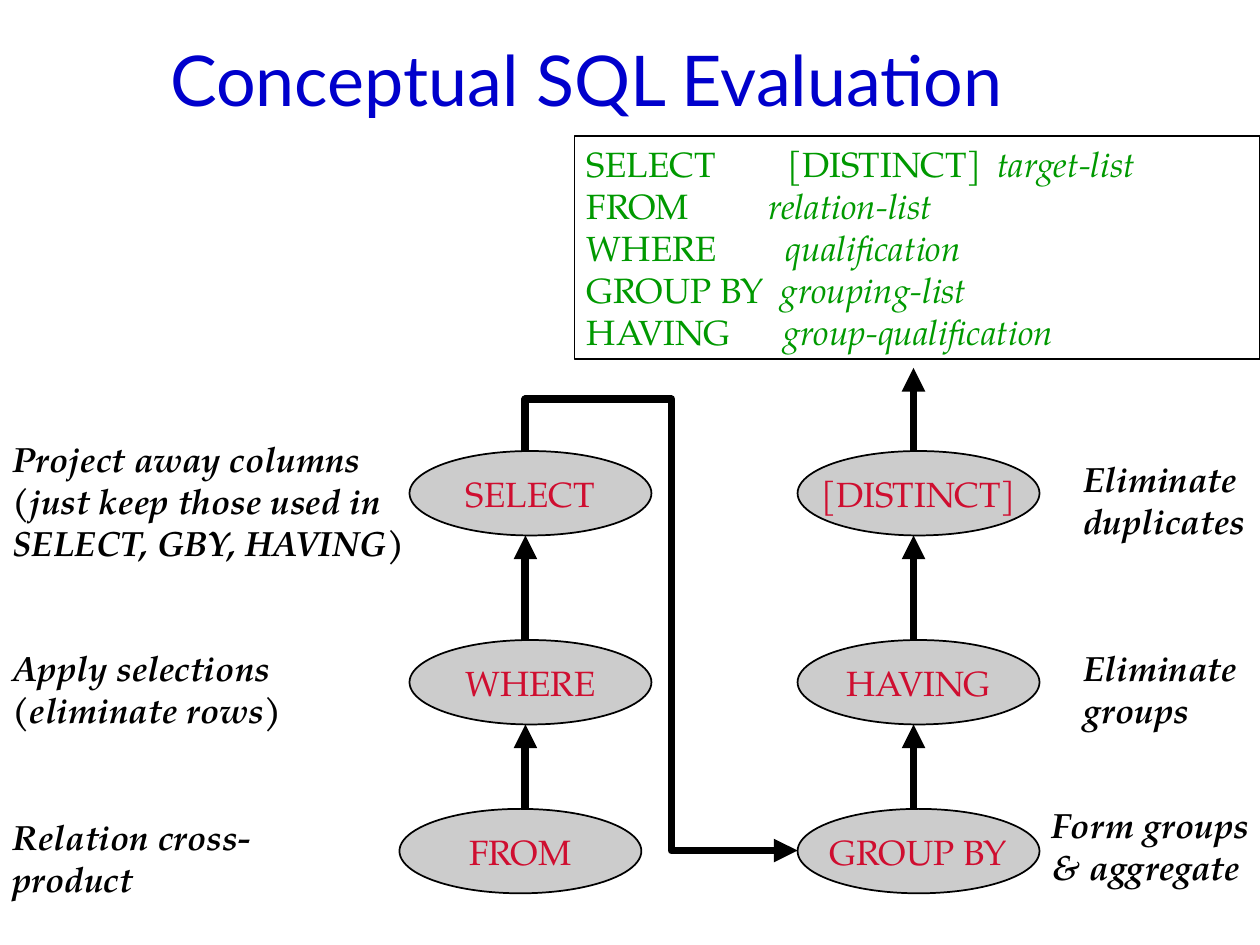
from dataclasses import dataclass

from lxml.etree import SubElement
from pptx import Presentation
from pptx.dml.color import RGBColor as Rgb
from pptx.enum.shapes import MSO_SHAPE as Preset, MSO_CONNECTOR as Connector
from pptx.enum.text import MSO_ANCHOR as Anchor, MSO_AUTO_SIZE as AutoSize, PP_ALIGN as Align
from pptx.oxml.ns import qn
from pptx.util import Inches, Pt


@dataclass(frozen=True)
class Theme:
    title_font: str = "Lato"
    body_font: str = "TeX Gyre Pagella"
    title_size: int = 40
    body_size: int = 20
    outline: float = 1
    arrow: float = 4.5
    title: Rgb = Rgb(0x00, 0x00, 0xCC)
    query: Rgb = Rgb(0x00, 0x99, 0x00)
    step: Rgb = Rgb(0xCF, 0x0E, 0x30)
    ink: Rgb = Rgb(0x00, 0x00, 0x00)
    step_fill: Rgb = Rgb(0xCC, 0xCC, 0xCC)


THEME = Theme()
STEP_SIZE = (1.92, 0.67)
ROW_TOPS = (3.58, 5.08, 6.42)

QUERY = [
    ("SELECT\t[DISTINCT]\t", "target-list", (1.59, 3.26)),
    ("FROM\t", "relation-list", (1.44,)),
    ("WHERE\t", "qualification", (1.58,)),
    ("GROUP BY\t", "grouping-list", (1.54,)),
    ("HAVING\t", "group-qualification", (1.56,)),
]
COLUMNS = [
    (4.17, [("SELECT", 3.25), ("WHERE", 3.25), ("FROM", 3.17)]),
    (7.25, [("[DISTINCT]", 6.33), ("HAVING", 6.33), ("GROUP BY", 6.33)]),
]
NOTES = [
    ((0, 3.42, 3.42, 1.1), ["Project away columns", "(just keep those used in SELECT, GBY, HAVING)"]),
    ((0, 5.08, 2.83, 0.77), ["Apply selections", "(eliminate rows)"]),
    ((0, 6.42, 2.17, 0.77), ["Relation cross-product"]),
    ((8.5, 3.58, 1.5, 1.1), ["Eliminate duplicates"]),
    ((8.5, 5.08, 1.5, 0.77), ["Eliminate groups"]),
    ((8.25, 6.33, 2, 0.77), ["Form groups & aggregate"]),
]
DETOUR = [(4.17, 3.58), (4.17, 3.17), (5.33, 3.17), (5.33, 6.75), (6.33, 6.75)]


def inches(values):
    return [Inches(value) for value in values]


def apply_format(target, **values):
    for name, value in values.items():
        setattr(target, name, value)


def add_run(paragraph, text, color, **values):
    run = paragraph.add_run()
    run.text = text
    style = {"name": THEME.body_font, "size": Pt(THEME.body_size), **values}
    apply_format(run.font, **style)
    run.font.color.rgb = color


def set_line(shape, width):
    shape.line.color.rgb = THEME.ink
    shape.line.width = Pt(width)


def add_tab_stops(paragraph, stops):
    tab_list = SubElement(paragraph._p.get_or_add_pPr(), qn("a:tabLst"))
    for stop in stops:
        SubElement(tab_list, qn("a:tab"), pos=str(Inches(stop)), algn="l")


def add_arrowhead(shape):
    SubElement(shape.line._get_or_add_ln(), qn("a:tailEnd"), type="triangle")


def add_title(slide, text):
    title = slide.shapes.title
    left, top, width, height = inches((1.25, 0, 8.25, 1.25))
    apply_format(title, left=left, top=top, width=width, height=height)
    apply_format(title.text_frame, vertical_anchor=Anchor.MIDDLE, auto_size=AutoSize.NONE)
    paragraph = title.text_frame.paragraphs[0]
    paragraph.alignment = Align.LEFT
    add_run(paragraph, text, THEME.title, name=THEME.title_font, size=Pt(THEME.title_size))


def add_text_box(slide, box, count):
    shape = slide.shapes.add_textbox(*inches(box))
    frame = shape.text_frame
    apply_format(frame, word_wrap=True, auto_size=AutoSize.SHAPE_TO_FIT_TEXT)
    for _ in range(count - 1):
        frame.add_paragraph()
    return shape


def add_query(slide):
    shape = add_text_box(slide, (4.56, 1.08, 5.44, 1.77), len(QUERY))
    set_line(shape, THEME.outline)
    for paragraph, (clause, argument, stops) in zip(shape.text_frame.paragraphs, QUERY):
        add_tab_stops(paragraph, stops)
        add_run(paragraph, clause, THEME.query)
        add_run(paragraph, argument, THEME.query, italic=True)


def add_note(slide, box, lines):
    shape = add_text_box(slide, box, len(lines))
    for paragraph, line in zip(shape.text_frame.paragraphs, lines):
        add_run(paragraph, line, THEME.ink, bold=True, italic=True)


def add_step(slide, text, left, top):
    shape = slide.shapes.add_shape(Preset.OVAL, *inches((left, top, *STEP_SIZE)))
    shape.shadow.inherit = False
    shape.fill.solid()
    shape.fill.fore_color.rgb = THEME.step_fill
    set_line(shape, THEME.outline)
    apply_format(shape.text_frame, word_wrap=False, vertical_anchor=Anchor.MIDDLE)
    paragraph = shape.text_frame.paragraphs[0]
    paragraph.alignment = Align.CENTER
    add_run(paragraph, text, THEME.step)


def add_up_arrow(slide, x, bottom, top):
    arrow = slide.shapes.add_connector(Connector.STRAIGHT, *inches((x, bottom, x, top)))
    set_line(arrow, THEME.arrow)
    add_arrowhead(arrow)
    SubElement(arrow._element.spPr, qn("a:effectLst"))


def add_detour(slide, points):
    start, *rest = [inches(point) for point in points]
    builder = slide.shapes.build_freeform(*start)
    builder.add_line_segments(rest, close=False)
    shape = builder.convert_to_shape()
    shape.shadow.inherit = False
    shape.fill.background()
    set_line(shape, THEME.arrow)
    add_arrowhead(shape)


def main():
    presentation = Presentation()
    apply_format(presentation, slide_width=Inches(10), slide_height=Inches(7.5))
    slide = presentation.slides.add_slide(presentation.slide_layouts[5])
    add_title(slide, "Conceptual SQL Evaluation")
    add_query(slide)
    for box, lines in NOTES:
        add_note(slide, box, lines)
    for arrow_x, steps in COLUMNS:
        for (text, left), top in zip(steps, ROW_TOPS):
            add_step(slide, text, left, top)
        for upper, lower in zip(ROW_TOPS, ROW_TOPS[1:]):
            add_up_arrow(slide, arrow_x, lower, upper + STEP_SIZE[1])
    add_detour(slide, DETOUR)
    add_up_arrow(slide, 7.25, ROW_TOPS[0], 2.92)
    presentation.save("out.pptx")


if __name__ == "__main__":
    main()
